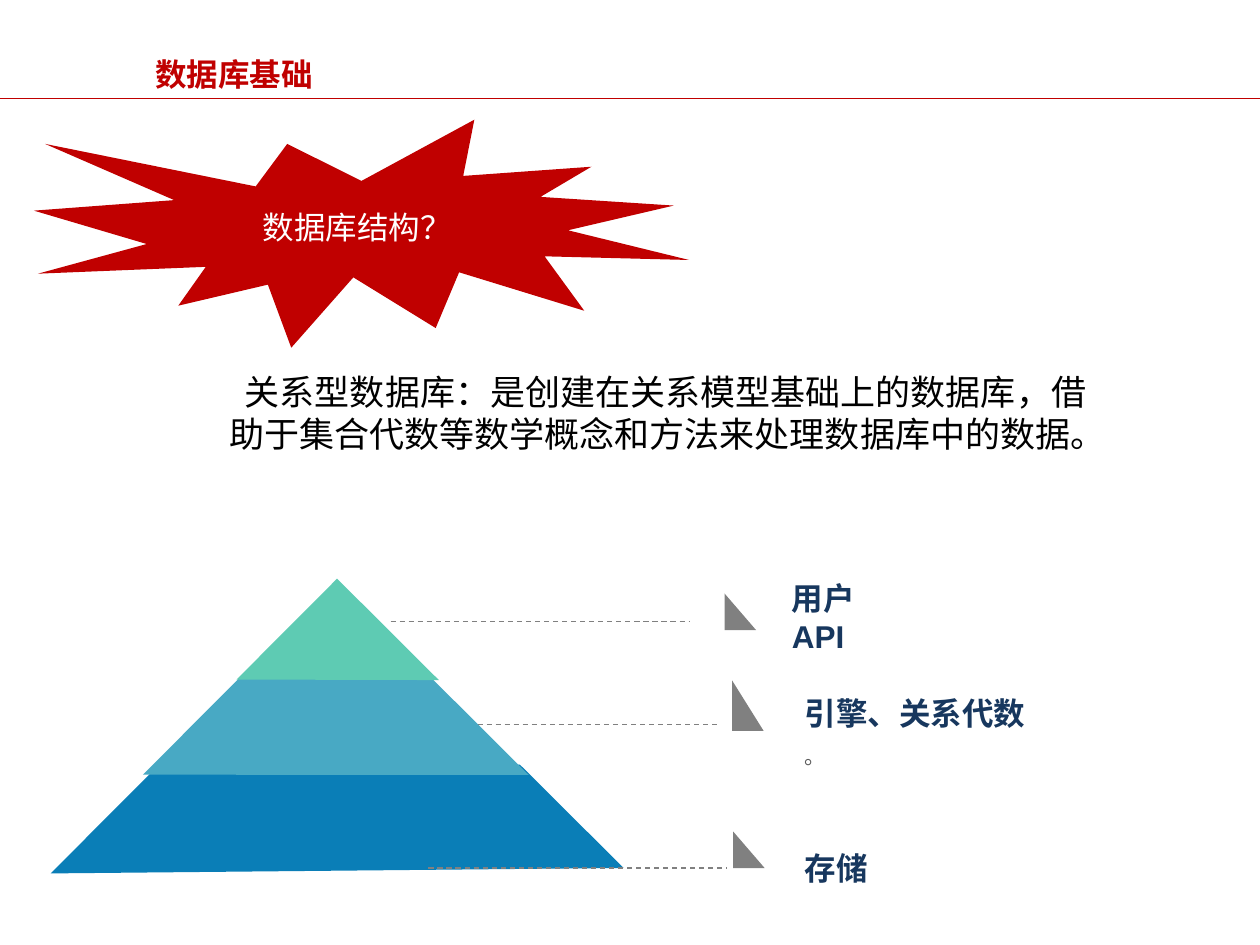
from lxml.etree import SubElement as Sub
from pptx import Presentation
from pptx.dml.color import RGBColor
from pptx.enum.dml import MSO_LINE as Dash
from pptx.enum.shapes import MSO_CONNECTOR as Conn, MSO_SHAPE as Kind
from pptx.enum.text import MSO_ANCHOR as Anchor, MSO_AUTO_SIZE as Fit, PP_ALIGN as Align
from pptx.oxml.ns import qn
from pptx.util import Pt

RED = RGBColor(0xC0, 0x00, 0x00)
BLUE = RGBColor(0x0A, 0x7E, 0xB7)
SKY = RGBColor(0x48, 0xA9, 0xC4)
MINT = RGBColor(0x5E, 0xCB, 0xB3)
NAVY = RGBColor(0x17, 0x37, 0x5E)
GRAY = RGBColor(0x80, 0x80, 0x80)
DARK = RGBColor(0x59, 0x59, 0x59)
BLACK = RGBColor(0x00, 0x00, 0x00)
WHITE = RGBColor(0xFF, 0xFF, 0xFF)
ARIAL = "Arial"
NOTO = "Noto Sans CJK SC"


class Deck:
    """Draws styled elements on the current slide, with lengths in points."""

    def __init__(self):
        self.prs = Presentation()
        self.prs.slide_width, self.prs.slide_height = Pt(720), Pt(540)
        self.slide = self.prs.slides.add_slide(self.prs.slide_layouts[5])

    def label(self, shape, text, size, color, font=ARIAL, bold=False, align=Align.LEFT):
        frame = shape.text_frame
        frame.text = text
        frame.word_wrap = True
        frame.auto_size = Fit.NONE
        para = frame.paragraphs[0]
        para.alignment = align
        for run in para.runs:
            face = run.font
            face.size, face.bold, face.name = Pt(size), bold, font
            face.color.rgb = color
            Sub(run.font._element, qn("a:ea")).set("typeface", font)
        return para

    def title(self, text, box):
        head = self.slide.shapes.title
        head.left, head.top, head.width, head.height = map(Pt, box)
        self.label(head, text, 18, RED, NOTO, True)
        head.text_frame.vertical_anchor = Anchor.TOP
        head.text_frame.word_wrap = False

    def text(self, text, box, size, color, font=ARIAL, bold=False):
        item = self.slide.shapes.add_textbox(*map(Pt, box))
        return self.label(item, text, size, color, font, bold)

    def shape(self, kind, box, color, adjust=None, turn=0):
        item = self.slide.shapes.add_shape(kind, *map(Pt, box))
        item.shadow.inherit = False
        item.fill.solid()
        item.fill.fore_color.rgb = color
        item.line.fill.background()
        item.rotation = turn
        if adjust is not None:
            item.adjustments[0] = adjust
        return item

    def rule(self, left, right, y, color, dash=None):
        line = self.slide.shapes.add_connector(Conn.STRAIGHT, Pt(left), Pt(y), Pt(right), Pt(y))
        line.line.color.rgb = color
        line.line.width = Pt(0.75)
        if dash:
            line.line.dash_style = dash
        Sub(line._element.spPr, qn("a:effectLst"))


def main():
    deck = Deck()
    deck.rule(0, 720, 56.2, RED)
    deck.title("数据库基础", (81.4, 28, 105, 29))

    tiers = [
        ((77.8, 380.9, 229.7, 233.3), BLUE, 0.636),
        ((113.8, 365, 156.2, 155.5), SKY, 0.478),
        ((151.9, 347.8, 82.1, 81.4), MINT, 0),
    ]
    for box, color, cut in tiers:
        deck.shape(Kind.DIAGONAL_STRIPE, box, color, cut, 44.9)

    marks = [
        (223.2, 393.5, 355, (414, 339.1, 18, 20.9)),
        (272.9, 411.8, 414, (418.3, 388.8, 18, 28.8)),
        (244.8, 415.4, 496, (419, 475.2, 18, 20.9)),
    ]
    for left, right, y, box in marks:
        deck.rule(left, right, y, GRAY, Dash.DASH)
        deck.shape(Kind.ISOSCELES_TRIANGLE, box, GRAY, 0)

    names = [
        ("用户API", (445.5, 327.6, 80, 50)),
        ("引擎、关系代数", (452.9, 393.1, 166.3, 29)),
        ("存储", (452.9, 481.7, 60, 29)),
    ]
    for text, box in names:
        deck.text(text, box, 18, NAVY, bold=True)
    deck.text("。", (452.9, 416.9, 247.7, 24.5), 12, DARK, NOTO).line_spacing = 1.3

    burst = deck.shape(Kind.EXPLOSION1, (19.4, 68.4, 374.4, 130.3), RED)
    burst.text_frame.vertical_anchor = Anchor.MIDDLE
    deck.label(burst, "数据库结构？", 18, WHITE, align=Align.CENTER)

    body = "关系型数据库：是创建在关系模型基础上的数据库，借助于集合代数等数学概念和方法来处理数据库中的数据。"
    para = deck.text(body, (123.8, 208.1, 519.8, 55.4), 20, BLACK, NOTO)
    para._p.get_or_add_pPr().set("indent", str(Pt(9)))
    deck.prs.save("out.pptx")


if __name__ == "__main__":
    main()
